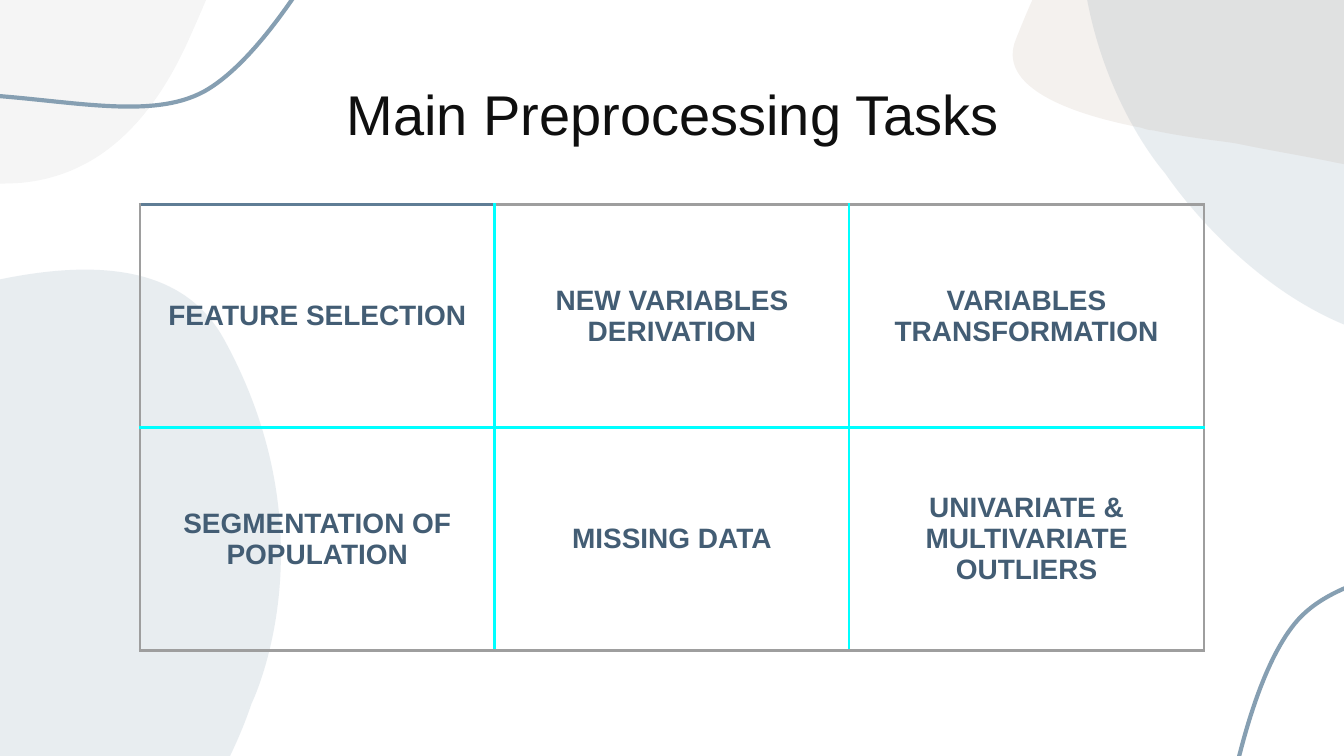
from dataclasses import dataclass
from typing import Optional

from lxml.etree import SubElement
from pptx import Presentation
from pptx.dml.color import RGBColor
from pptx.enum.text import MSO_ANCHOR, PP_ALIGN
from pptx.oxml.ns import qn
from pptx.util import Pt


@dataclass(frozen=True)
class Theme:
    font: str = "Arial"
    title_size: float = 30
    cell_size: float = 15
    title: str = "0F0F0F"
    label: str = "435D74"
    mist: str = "CFD9E0"
    sand: str = "AC9078"
    smoke: str = "595959"
    curve: str = "869FB2"
    outer_border: str = "9E9E9E"
    inner_border: str = "00FFFF"
    accent_border: str = "5F7D95"
    curve_width: float = 2.25
    border_width: float = 1.5


@dataclass(frozen=True)
class Outline:
    """Bezier path in units of 0.72 pt: a start point, then three points per curve."""
    color: str
    points: list[tuple[int, int]]
    opacity: Optional[int] = None  # percent; an outline without it is an open line


THEME = Theme()
UNIT = Pt(0.72)
INSET = Pt(7.2)

LEFT_BLOB = Outline(THEME.mist, [
    (48, 695), (18, 709), (-17, 715), (-57, 709), (-236, 683), (-310, 615), (-310, 615),
    (-310, 615), (-340, 560), (-402, 588), (-404, 589), (-407, 590), (-410, 592),
    (-418, 596), (-427, 601), (-435, 604), (-490, 629), (-534, 632), (-546, 617),
    (-560, 599), (-542, 521), (-500, 474), (-465, 435), (-423, 362), (-363, 335),
    (-352, 330), (-340, 327), (-327, 325), (-247, 317), (87, 105), (167, 253),
    (248, 401), (187, 524), (187, 524), (187, 524), (148, 650), (48, 695)], 46)
RIGHT_BLOB = Outline(THEME.mist, [
    (1048, 255), (1080, 260), (1115, 257), (1152, 240), (1317, 166), (1370, 80), (1370, 80),
    (1370, 80), (1384, 20), (1451, 30), (1454, 30), (1457, 31), (1460, 31),
    (1469, 33), (1479, 35), (1488, 37), (1548, 46), (1591, 37), (1598, 18),
    (1606, -3), (1568, -73), (1515, -106), (1470, -135), (1410, -193), (1345, -203),
    (1333, -205), (1320, -205), (1308, -203), (1228, -188), (849, -302), (812, -138),
    (775, 27), (867, 129), (867, 129), (867, 129), (939, 239), (1048, 255)], 46)
SAND_BLOB = Outline(THEME.sand, [
    (867, -53), (844, -57), (821, -58), (804, -48), (779, -31), (767, 2), (756, 29),
    (741, 65), (797, 85), (849, 95), (852, 96), (855, 97), (858, 97),
    (886, 103), (911, 105), (921, 107), (945, 112), (970, 116), (994, 121),
    (1057, 133), (1120, 146), (1183, 158), (1183, 158), (1184, 158), (1184, 158),
    (1188, 159), (1193, 160), (1197, 158), (1201, 156), (1203, 153), (1206, 149),
    (1222, 127), (1242, 98), (1241, 69), (1239, 28), (1185, 15), (1143, 7),
    (1138, 6), (1132, 5), (1128, 4), (1121, 3), (1115, 1), (1110, 0),
    (1059, -13), (1007, -24), (956, -34), (946, -36), (936, -37), (926, -39),
    (925, -39), (925, -39), (924, -40), (908, -43), (888, -49), (867, -53)], 12)
SMOKE_BLOB = Outline(THEME.smoke, [
    (-29, -503), (-32, -504), (-35, -504), (-38, -505), (-44, -506), (-50, -508), (-57, -509),
    (-137, -528), (-239, -549), (-312, -506), (-360, -477), (-383, -406), (-407, -358),
    (-437, -295), (-465, -231), (-485, -163), (-512, -73), (-480, -19), (-394, 14),
    (-319, 44), (-244, 73), (-167, 97), (-135, 107), (-102, 120), (-68, 128),
    (-40, 135), (-12, 138), (16, 136), (80, 130), (118, 81), (142, 26),
    (173, -43), (197, -115), (225, -185), (250, -245), (262, -317), (216, -371),
    (155, -444), (61, -481), (-29, -503)], 6)
RIGHT_CURVE = Outline(THEME.curve, [
    (898, 707), (898, 707), (914, 519), (966, 461), (1028, 393), (1222, 442), (1313, 258),
    (1405, 74), (1515, 79), (1598, 202)])
LEFT_CURVE = Outline(THEME.curve, [
    (296, -143), (296, -143), (220, 30), (152, 68), (71, 112), (-96, 3), (-242, 148),
    (-389, 292), (-491, 251), (-530, 109)])
DECORATION = [LEFT_BLOB, RIGHT_BLOB, SAND_BLOB, SMOKE_BLOB, RIGHT_CURVE, LEFT_CURVE]

TASKS = [
    ["FEATURE SELECTION", "NEW VARIABLES DERIVATION", "VARIABLES TRANSFORMATION"],
    ["SEGMENTATION OF POPULATION", "MISSING DATA", "UNIVARIATE & MULTIVARIATE OUTLIERS"],
]


def draw_outline(page, outline: Outline) -> None:
    closed = outline.opacity is not None
    start, *rest = outline.points
    builder = page.shapes.build_freeform(*start, scale=UNIT)
    builder.add_line_segments(rest, close=closed)
    shape = builder.convert_to_shape()
    shape.shadow.inherit = False
    bend_segments(shape)
    color = RGBColor.from_string(outline.color)
    if closed:
        shape.fill.solid()
        shape.fill.fore_color.rgb = color
        shape.line.fill.background()
        paint = shape.element.spPr.find(qn("a:solidFill"))[0]
        SubElement(paint, qn("a:alpha"), val=str(outline.opacity * 1000))
    else:
        shape.fill.background()
        shape.line.color.rgb = color
        shape.line.width = Pt(THEME.curve_width)


def bend_segments(shape) -> None:
    """Turn every three straight segments into one cubic curve."""
    path = next(shape.element.iter(qn("a:path")))
    segments = path.findall(qn("a:lnTo"))
    for index in range(0, len(segments), 3):
        curve, *others = segments[index:index + 3]
        curve.tag = qn("a:cubicBezTo")
        for segment in others:
            curve.append(segment[0])
            path.remove(segment)


def write_centred(box, text: str, size: float, color: str, bold: bool) -> None:
    para = box.text_frame.paragraphs[0]
    para.alignment = PP_ALIGN.CENTER
    span = para.add_run()
    span.text = text
    span.font.name = THEME.font
    span.font.size = Pt(size)
    span.font.bold = bold
    span.font.color.rgb = RGBColor.from_string(color)


def set_insets(target) -> None:
    target.margin_left = target.margin_right = INSET
    target.margin_top = target.margin_bottom = INSET
    target.vertical_anchor = MSO_ANCHOR.MIDDLE


def place_title(page, text: str) -> None:
    title = page.shapes.title
    title.left, title.top, title.width, title.height = Pt(57), Pt(34.5), Pt(607), Pt(52)
    set_insets(title.text_frame)
    write_centred(title, text, THEME.title_size, THEME.title, bold=False)
    title.element.getparent().append(title.element)  # in front of the decoration


def set_border(cell, side: str, color: str) -> None:
    line = SubElement(cell._tc.get_or_add_tcPr(), qn(f"a:ln{side}"),
                      w=str(Pt(THEME.border_width)))
    SubElement(SubElement(line, qn("a:solidFill")), qn("a:srgbClr"), val=color)


def add_task_table(page, tasks: list[list[str]]) -> None:
    rows, columns = len(tasks), len(tasks[0])
    frame = page.shapes.add_table(rows, columns, Pt(75), Pt(109.5),
                                  Pt(190 * columns), Pt(119.5 * rows))
    table = frame.table
    table.first_row = table.horz_banding = False
    for row, labels in enumerate(tasks):
        for column, label in enumerate(labels):
            cell = table.cell(row, column)
            set_insets(cell)
            write_centred(cell, label, THEME.cell_size, THEME.label, bold=True)
            on_edge = {"L": column == 0, "R": column == columns - 1,
                       "T": row == 0, "B": row == rows - 1}
            for side, outer in on_edge.items():
                color = THEME.outer_border if outer else THEME.inner_border
                if (row, column, side) == (0, 0, "T"):
                    color = THEME.accent_border
                set_border(cell, side, color)
            cell.fill.background()


def main() -> None:
    deck = Presentation()
    deck.slide_width, deck.slide_height = Pt(720), Pt(405)
    page = deck.slides.add_slide(deck.slide_layouts.get_by_name("Title Only"))
    for outline in DECORATION:
        draw_outline(page, outline)
    place_title(page, "Main Preprocessing Tasks")
    add_task_table(page, TASKS)
    deck.save("out.pptx")


if __name__ == "__main__":
    main()
